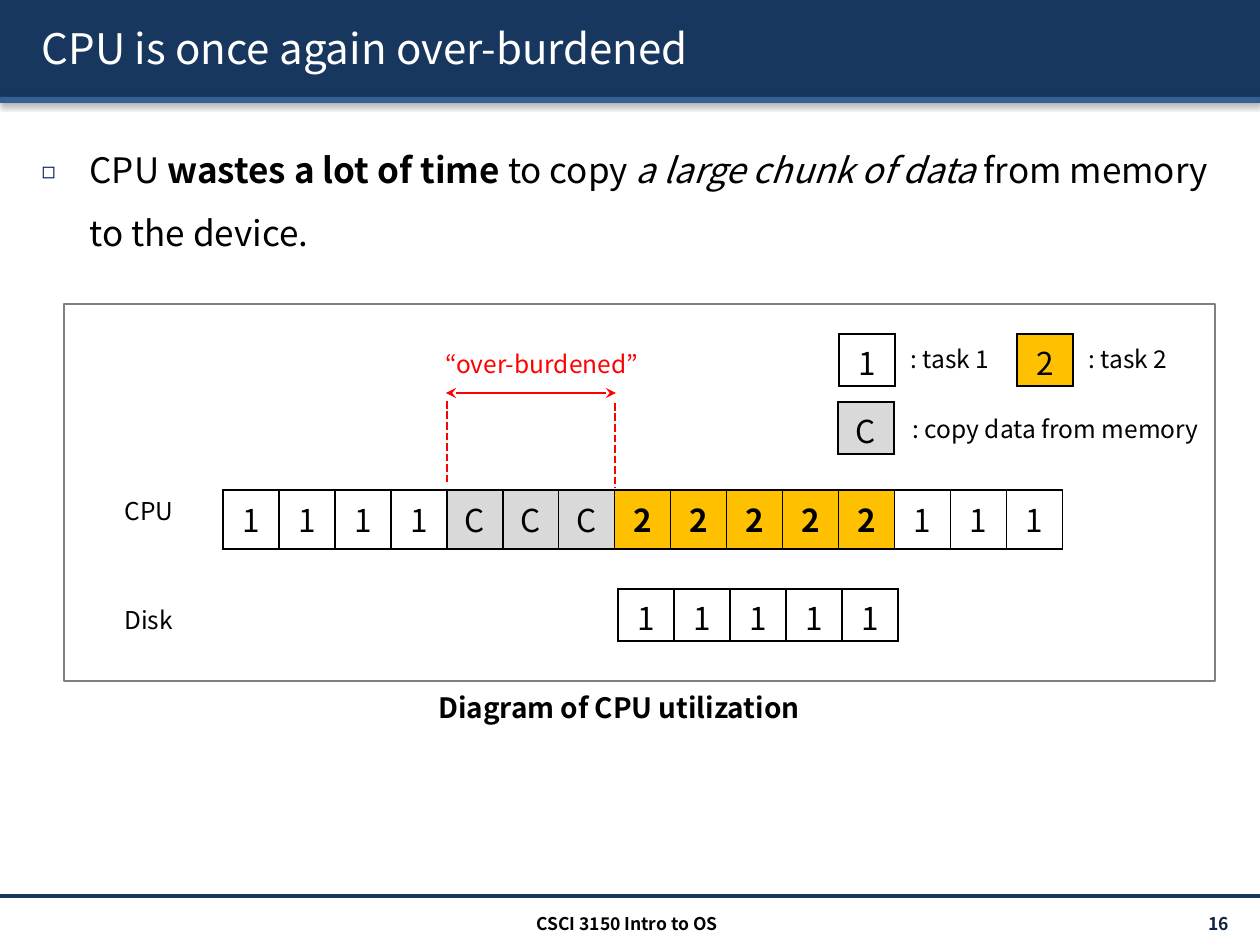
from dataclasses import dataclass

from lxml.etree import SubElement
from pptx import Presentation
from pptx.dml.color import RGBColor
from pptx.enum.dml import MSO_LINE
from pptx.enum.shapes import MSO_CONNECTOR, MSO_SHAPE
from pptx.enum.text import MSO_ANCHOR as Anchor, MSO_AUTO_SIZE, PP_ALIGN as Align
from pptx.oxml import parse_xml
from pptx.oxml.ns import nsdecls, qn
from pptx.util import Emu, Pt

EMU_PER_PX = 914400 / 126
FONT = "Noto Sans CJK KR"
BLACK, WHITE, RED = "000000", "FFFFFF", "FF0000"
NAVY, BLUE, GREY, GOLD = "17375E", "376092", "D9D9D9", "FFC000"
CELL_WIDTH, CELL_HEIGHT = 56, 52
TASK_FILLS = {"1": None, "2": GOLD, "C": GREY}


@dataclass
class Strip:
    """A one-row timeline of task cells."""
    left: int
    top: int
    tasks: str
    height: int = CELL_HEIGHT
    bold_tasks: str = ""


@dataclass
class Label:
    text: str
    left: int
    top: int
    width: int
    height: int = 43
    size: int = 14
    color: str = BLACK
    bold: bool = False
    align: Align = Align.LEFT
    anchor: Anchor = Anchor.TOP


def px(value: int) -> Emu:
    return Emu(round(value * EMU_PER_PX))


def rgb(value: str) -> RGBColor:
    return RGBColor.from_string(value)


def shadow_xml(blur: int, distance: int, alpha: int, angle: int):
    return parse_xml(
        f'<a:effectLst {nsdecls("a")}><a:outerShdw blurRad="{blur}" dist="{distance}" '
        f'dir="{angle * 60000}" algn="tl" rotWithShape="0"><a:srgbClr val="{BLACK}">'
        f'<a:alpha val="{alpha * 1000}"/></a:srgbClr></a:outerShdw></a:effectLst>')


def add_text(para, text: str, size: int, color=BLACK, bold=False, italic=False):
    span = para.add_run()
    span.text = text
    font = span.font
    font.name, font.size, font.bold, font.italic = FONT, Pt(size), bold, italic
    font.color.rgb = rgb(color)
    return span


def place(box, left: int, top: int, width: int, height: int) -> None:
    box.left, box.top, box.width, box.height = map(px, (left, top, width, height))


def add_label(page, label: Label) -> None:
    box = page.shapes.add_textbox(
        px(label.left), px(label.top), px(label.width), px(label.height))
    frame = box.text_frame
    frame.word_wrap = True
    frame.vertical_anchor = label.anchor
    para = frame.paragraphs[0]
    para.alignment = label.align
    add_text(para, label.text, label.size, label.color, label.bold)


def add_bar(page, top: int, height: int, color: str) -> None:
    bar = page.shapes.add_shape(MSO_SHAPE.RECTANGLE, 0, px(top), px(1260), px(height))
    bar.fill.solid()
    bar.fill.fore_color.rgb = rgb(color)
    bar.line.fill.background()
    bar._element.spPr.append(shadow_xml(39370, 20320, 38, 90))


def add_line(page, start: tuple, end: tuple, color: str, width: float,
             dashed=False, arrows=False) -> None:
    line = page.shapes.add_connector(MSO_CONNECTOR.STRAIGHT, *map(px, start + end))
    line.line.color.rgb = rgb(color)
    line.line.width = Pt(width)
    if dashed:
        line.line.dash_style = MSO_LINE.SQUARE_DOT
    if arrows:
        for tag in ("a:headEnd", "a:tailEnd"):
            SubElement(line.line._get_or_add_ln(), qn(tag), type="stealth")
    SubElement(line._element.spPr, qn("a:effectLst"))


def add_borders(cell) -> None:
    properties = cell._tc.get_or_add_tcPr()
    for side in "LRTB":
        properties.append(parse_xml(
            f'<a:ln{side} {nsdecls("a")} w="12700"><a:solidFill>'
            f'<a:srgbClr val="{BLACK}"/></a:solidFill></a:ln{side}>'))


def add_strip(page, strip: Strip) -> None:
    count = len(strip.tasks)
    table = page.shapes.add_table(
        1, count, px(strip.left), px(strip.top),
        px(count * CELL_WIDTH), px(strip.height)).table
    table.first_row = table.horz_banding = False
    for column, task in enumerate(strip.tasks):
        table.columns[column].width = px(CELL_WIDTH)
        cell = table.cell(0, column)
        if strip.height == CELL_HEIGHT:
            cell.margin_top, cell.margin_bottom = px(5), 0
        add_borders(cell)
        if TASK_FILLS[task]:
            cell.fill.solid()
            cell.fill.fore_color.rgb = rgb(TASK_FILLS[task])
        else:
            cell.fill.background()
        para = cell.text_frame.paragraphs[0]
        para.alignment = Align.CENTER
        add_text(para, task, 18, bold=task in strip.bold_tasks)


def fill_title(page) -> None:
    title = page.shapes.title
    place(title, 29, 8, 1211, 80)
    frame = title.text_frame
    frame.auto_size = MSO_AUTO_SIZE.NONE
    frame.vertical_anchor = Anchor.MIDDLE
    para = frame.paragraphs[0]
    para.alignment = Align.LEFT
    span = add_text(para, "CPU is once again over-burdened", 24, WHITE)
    span.font._element.find(qn("a:solidFill")).addnext(shadow_xml(38100, 38100, 100, 45))


def fill_body(page) -> None:
    body = page.placeholders[1]
    place(body, 29, 121, 1211, 580)
    frame = body.text_frame
    frame.auto_size = MSO_AUTO_SIZE.NONE
    para = frame.paragraphs[0]
    properties = para._p.get_or_add_pPr()
    properties.set("marL", str(px(48)))
    properties.set("indent", str(-px(48)))
    color = SubElement(properties, qn("a:buClr"))
    SubElement(color, qn("a:srgbClr"), val="002060")
    SubElement(properties, qn("a:buSzPct"), val="65000")
    SubElement(properties, qn("a:buFont"), typeface=FONT)
    SubElement(properties, qn("a:buChar"), char="◻")
    para.line_spacing, para.space_before = 1.5, Pt(0)
    add_text(para, "CPU ", 20)
    add_text(para, "wastes a lot of time ", 20, bold=True)
    add_text(para, "to copy ", 20)
    add_text(para, "a large chunk of data ", 20, italic=True)
    add_text(para, "from memory to the device.", 20)


def main() -> None:
    deck = Presentation()
    deck.slide_width, deck.slide_height = px(1260), px(945)
    page = deck.slides.add_slide(deck.slide_layouts[1])

    # Header bars behind the title, footer rule
    add_bar(page, 0, 97, NAVY)
    add_bar(page, 97, 6, BLUE)
    add_line(page, (0, 896), (1260, 896), NAVY, 2)
    for holder in list(page.placeholders):
        page.shapes._spTree.append(holder._element)
    fill_title(page)
    fill_body(page)

    # Timelines, then legend keys
    for strip in (
        Strip(223, 490, "1111CCC22222111", height=59, bold_tasks="2"),
        Strip(618, 589, "11111"),
        Strip(839, 334, "1"),
        Strip(1017, 334, "2"),
        Strip(838, 402, "C"),
    ):
        add_strip(page, strip)

    # Span of the copy work
    add_line(page, (447, 401), (447, 485), RED, 1.5, dashed=True)
    add_line(page, (615, 403), (615, 488), RED, 1.5, dashed=True)
    add_line(page, (446, 393), (616, 393), RED, 1.5, arrows=True)

    # Labels, caption and footer
    for label in (
        Label("CPU", 112, 490, 101),
        Label("Disk", 112, 599, 101),
        Label("“over-burdened”", 433, 343, 227, color=RED),
        Label(": task 1", 898, 338, 169),
        Label(": task 2", 1076, 338, 110),
        Label(": copy data from memory", 900, 408, 335),
        Label("Diagram of CPU utilization", 282, 684, 674, 47, 16,
              bold=True, align=Align.CENTER),
        Label("CSCI 3150 Intro to OS", 418, 907, 418, 30, 10,
              bold=True, align=Align.CENTER),
        Label("16", 1094, 908, 147, 30, 10, "0F243E", True, Align.RIGHT, Anchor.MIDDLE),
    ):
        add_label(page, label)

    # Diagram frame
    frame = page.shapes.add_shape(
        MSO_SHAPE.RECTANGLE, px(64), px(304), px(1151), px(377))
    frame.shadow.inherit = False
    frame.fill.background()
    frame.line.color.rgb = rgb("808080")
    frame.line.width = Pt(0.75)

    deck.save("out.pptx")


if __name__ == "__main__":
    main()
